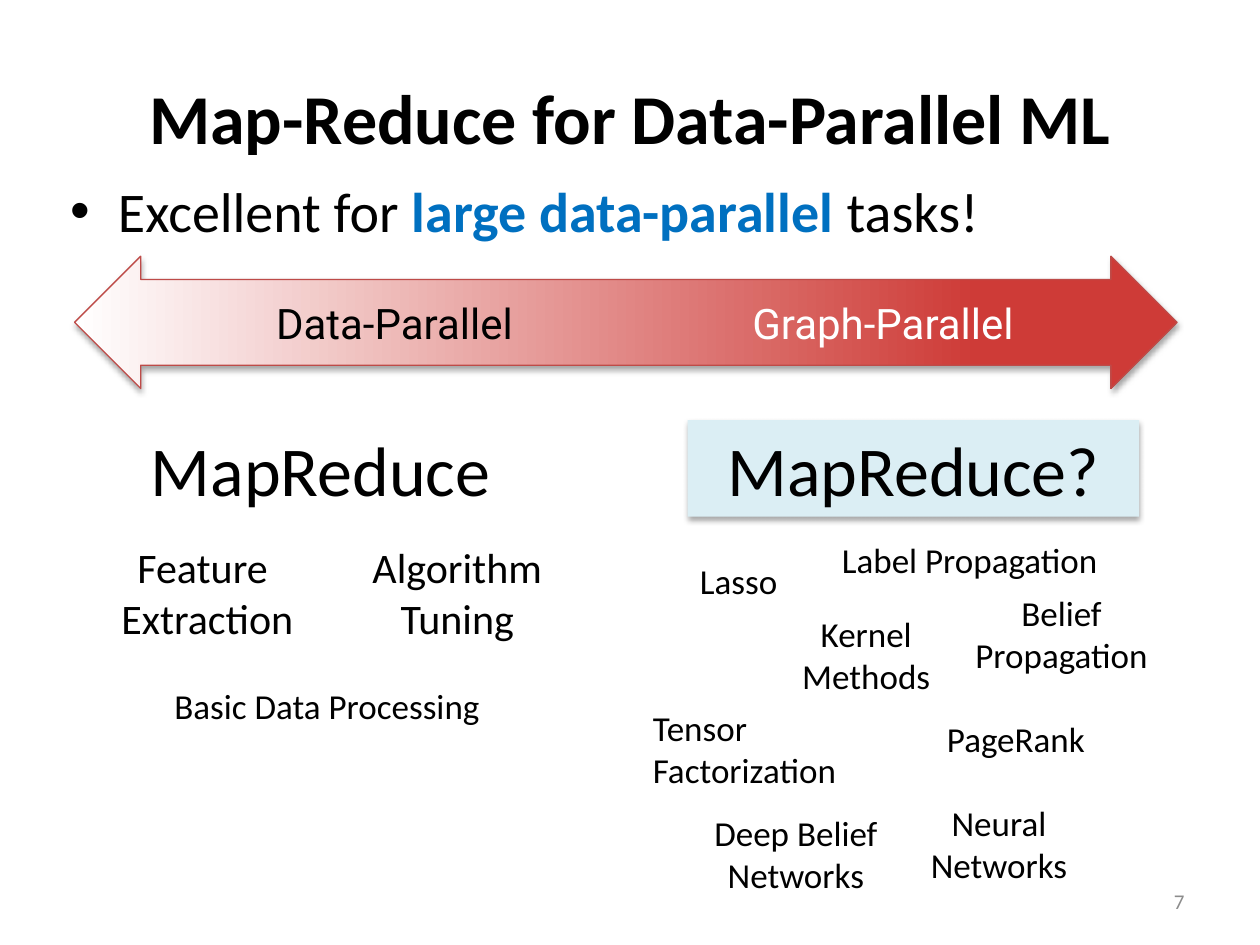
from copy import deepcopy

from lxml import etree
from pptx import Presentation, util as u
from pptx.dml.color import RGBColor
from pptx.enum import shapes, text
from pptx.oxml import parse_xml
from pptx.oxml.ns import nsdecls, qn

BLACK = RGBColor(0x00, 0x00, 0x00)
WHITE = RGBColor(0xFF, 0xFF, 0xFF)
GREY = RGBColor(0x8C, 0x8C, 0x8C)
BLUE = RGBColor(0x00, 0x70, 0xC0)
RED = RGBColor(0xCE, 0x3B, 0x37)
EDGE = RGBColor(0xBE, 0x4B, 0x48)
PALE = RGBColor(0xDB, 0xEE, 0xF4)

LEFT, MID, RIGHT = text.PP_ALIGN.LEFT, text.PP_ALIGN.CENTER, text.PP_ALIGN.RIGHT
TOP, CENTER = text.MSO_ANCHOR.TOP, text.MSO_ANCHOR.MIDDLE
CELL = u.Inches(1) / 12  # the slide is a grid of 120 columns by 90 rows


class Deck:
    font = "Calibri"

    def __init__(self):
        self.prs = Presentation()
        self.prs.slide_width, self.prs.slide_height = u.Inches(10), u.Inches(7.5)
        self.slide = self.prs.slides.add_slide(self.prs.slide_layouts[6])

    def area(self, *cells):
        return [round(c * CELL) for c in cells]

    def letter(self, item, paras, size, align, anchor=TOP, wrap=True, font=None):
        """Each paragraph is a list of (words, colour, bold) runs."""
        frame = item.text_frame
        frame.word_wrap = wrap
        frame.vertical_anchor = anchor
        for i, runs in enumerate(paras):
            para = frame.add_paragraph() if i else frame.paragraphs[0]
            para.alignment = align
            for words, color, bold in runs:
                run = para.add_run()
                run.text = words
                run.font.name = font or self.font
                run.font.size = u.Pt(size)
                run.font.bold = bold
                run.font.color.rgb = color
        return item

    def box(self, at, paras, size, align=LEFT, anchor=TOP):
        item = self.slide.shapes.add_textbox(*self.area(*at))
        return self.letter(item, paras, size, align, anchor)

    def label(self, at, lines, size=20, align=MID):
        item = self.slide.shapes.add_textbox(*self.area(*at))
        paras = [[(line, BLACK, False)] for line in lines]
        self.letter(item, paras, size, align, wrap=False)
        item.text_frame.auto_size = text.MSO_AUTO_SIZE.SHAPE_TO_FIT_TEXT

    def shape(self, kind, at):
        item = self.slide.shapes.add_shape(kind, *self.area(*at))
        item.shadow.inherit = False
        item.line.fill.background()
        return item

    def shade(self, item):
        """Soft shadow falling straight down."""
        effects = item._element.spPr.find(qn("a:effectLst"))
        effects.append(parse_xml(
            f'<a:outerShdw {nsdecls("a")} blurRad="{u.Pt(3.1)}" dist="{u.Pt(1.8)}" '
            'dir="5400000" rotWithShape="0"><a:srgbClr val="000000">'
            '<a:alpha val="35000"/></a:srgbClr></a:outerShdw>'))

    def blend(self, item, start, end, stop):
        """Gradient from left that reaches its end colour at stop."""
        item.fill.gradient()
        item.fill.gradient_angle = 0
        first, last = item.fill.gradient_stops
        first.color.rgb, first.position = start, 0
        last.color.rgb, last.position = end, stop
        stops = item._element.spPr.find(".//" + qn("a:gsLst"))
        tail = deepcopy(stops[-1])
        tail.set("pos", "100000")
        stops.append(tail)

    def bullet(self, para, indent):
        props = para._p.get_or_add_pPr()
        props.set("marL", str(u.Inches(indent)))
        props.set("indent", str(-u.Inches(indent)))
        etree.SubElement(props, qn("a:buFont")).set("typeface", "Arial")
        etree.SubElement(props, qn("a:buChar")).set("char", "•")

    def tab(self, para, pos):
        tabs = etree.SubElement(para._p.get_or_add_pPr(), qn("a:tabLst"))
        etree.SubElement(tabs, qn("a:tab"), pos=str(u.Inches(pos)), algn="l")


def main():
    deck = Deck()

    # Graph-parallel tasks: column, row, width, lines, alignment
    for col, row, wide, lines, align in [
        (91, 55.7, 20.2, ["Belief", "Propagation"], MID),
        (79, 50.7, 27.1, ["Label Propagation"], LEFT),
        (75, 57.7, 15, ["Kernel", "Methods"], MID),
        (66, 76.7, 19.6, ["Deep Belief", "Networks"], MID),
        (87, 75.7, 16.3, ["Neural", "Networks"], MID),
        (61, 66.7, 21.1, ["Tensor", "Factorization"], LEFT),
        (89, 67.7, 15.7, ["PageRank"], LEFT),
        (65, 52.7, 10.7, ["Lasso"], MID),
    ]:
        deck.label((col, row, wide, 1.3 + 4 * len(lines)), lines, align=align)

    # Title, opening bullet and slide number
    deck.box((6, 3.6, 108, 15), [[("Map-Reduce for Data-Parallel ML", BLACK, True)]],
             40, MID, CENTER)
    body = deck.box((5.5, 16.2, 109, 10), [[("Excellent for ", BLACK, False),
                                           ("large data-parallel ", BLUE, True),
                                           ("tasks!", BLACK, False)]], 32)
    lead = body.text_frame.paragraphs[0]
    lead.space_before = u.Pt(6.4)
    deck.bullet(lead, 0.38)
    deck.box((86, 83.4, 28, 4.8), [[("7", GREY, False)]], 12, RIGHT, CENTER)

    # Scale from data-parallel to graph-parallel
    arrow = deck.shape(shapes.MSO_SHAPE.LEFT_RIGHT_ARROW, (7.1, 24.4, 105, 12.6))
    arrow.adjustments[0], arrow.adjustments[1] = 0.647, 0.5
    deck.blend(arrow, WHITE, RED, 0.82)
    arrow.line.color.rgb = EDGE
    arrow.line.width = u.Pt(0.75)
    deck.shade(arrow)
    deck.letter(arrow, [[("Data-Parallel\t", BLACK, False),
                         ("Graph-Parallel", WHITE, False)]],
                24, LEFT, CENTER, font="Roboto")
    arrow.text_frame.margin_left = u.Inches(1.26)
    deck.tab(arrow.text_frame.paragraphs[0], 3.78)

    # Headings of the two sides
    deck.label((13.2, 40, 35, 9.2), ["MapReduce"], 40, LEFT)
    card = deck.shape(shapes.MSO_SHAPE.RECTANGLE, (65.5, 40, 43, 9.2))
    card.fill.solid()
    card.fill.fore_color.rgb = PALE
    deck.shade(card)
    deck.letter(card, [[("MapReduce?", BLACK, False)]], 40, MID)

    # Data-parallel tasks
    deck.label((34.2, 51, 18.7, 10.9), ["Algorithm ", "Tuning"], 24)
    deck.label((10.2, 51, 19.1, 10.9), ["Feature ", "Extraction"], 24)
    deck.label((15.2, 64.6, 31.9, 5.3), ["Basic Data Processing"])

    deck.prs.save("out.pptx")


if __name__ == "__main__":
    main()
